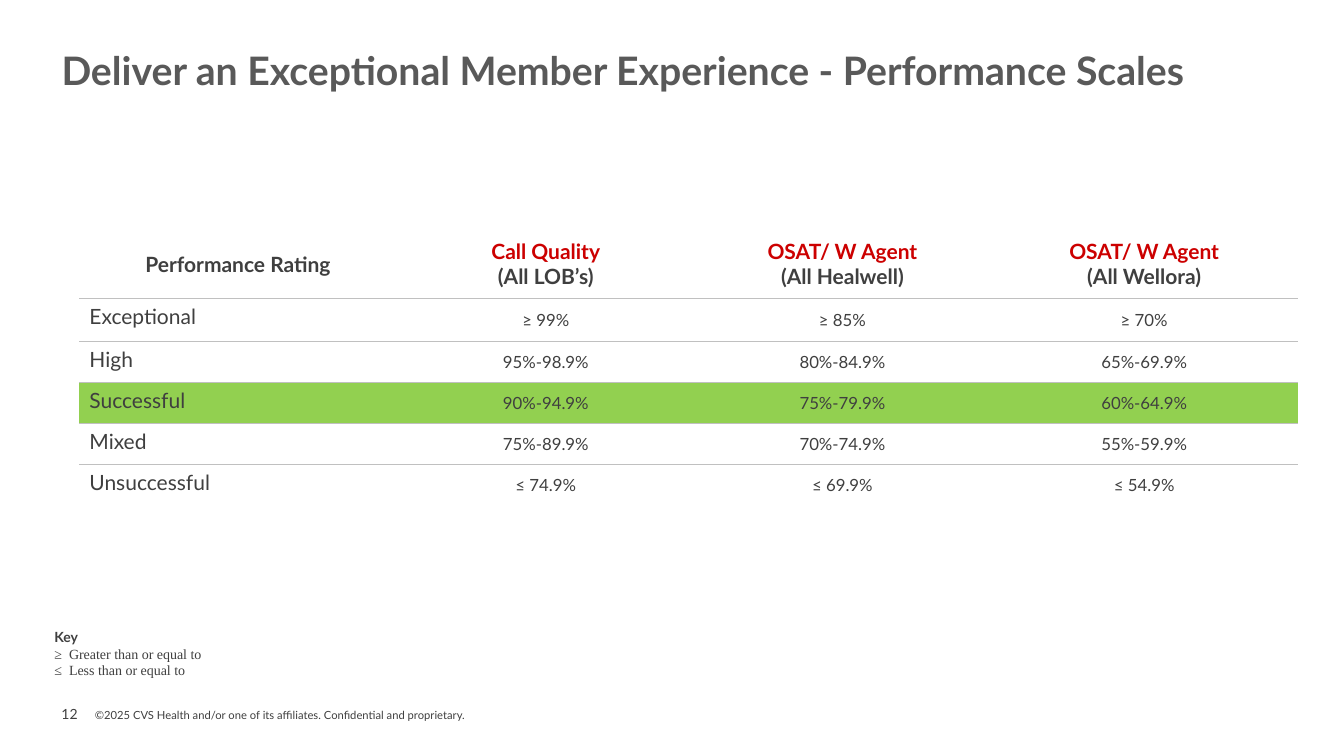
from lxml import etree
from pptx import Presentation, util as u
from pptx.dml.color import RGBColor
from pptx.enum import text as t
from pptx.oxml.ns import qn

HUES = {"ink": "3F3F3F", "title": "595959", "red": "CC0000",
        "rule": "C0C0C0", "green": "92D050"}
MID = t.MSO_ANCHOR.MIDDLE


def write(para, words, size=10, hue="ink", bold=False, face="Lato", align="LEFT"):
    para.alignment = t.PP_ALIGN[align]
    run = para.add_run()
    run.text = words
    font = run.font
    font.name, font.size, font.bold = face, u.Pt(size), bold
    font.color.rgb = RGBColor.from_string(HUES[hue])


def add_tab(para, stop):
    tabs = etree.SubElement(para._p.get_or_add_pPr(), qn("a:tabLst"))
    etree.SubElement(tabs, qn("a:tab"), pos=str(u.Cm(stop)), algn="l")


def edge(cell, sides):
    """Rule the named sides of a cell and clear the others."""
    props = cell._tc.get_or_add_tcPr()
    for spot, side in enumerate("LRTB"):
        line = etree.Element(qn("a:ln" + side), w=str(u.Pt(1)))
        if side in sides:
            fill = etree.SubElement(line, qn("a:solidFill"))
            etree.SubElement(fill, qn("a:srgbClr"), val=HUES["rule"])
        else:
            etree.SubElement(line, qn("a:noFill"))
        props.insert(spot, line)


class Page:
    def __init__(self, deck):
        self.slide = deck.slides.add_slide(deck.slide_layouts[5])

    def frame(self, shape, anchor, pad):
        box = shape.text_frame
        box.word_wrap, box.auto_size = True, t.MSO_AUTO_SIZE.NONE
        box.vertical_anchor = anchor
        box.margin_left = box.margin_right = u.Cm(pad[0])
        box.margin_top = box.margin_bottom = u.Cm(pad[1])
        return box

    def title(self, words, x, y, w, h):
        head = self.slide.shapes.title
        head.left, head.top, head.width, head.height = map(u.Cm, (x, y, w, h))
        para = self.frame(head, MID, (0, 0)).paragraphs[0]
        para.line_spacing = 0.9
        write(para, words, size=28, hue="title", bold=True)

    def text(self, x, y, w, h, anchor=MID, pad=(0, 0)):
        shape = self.slide.shapes.add_textbox(*map(u.Cm, (x, y, w, h)))
        return self.frame(shape, anchor, pad)

    def table(self, x, y, cols, rows, heads, body, mark):
        shape = self.slide.shapes.add_table(
            len(rows), len(cols), *map(u.Cm, (x, y, sum(cols), sum(rows))))
        grid = shape.table
        grid.first_row = grid.horz_banding = False
        for col, wide in zip(grid.columns, cols):
            col.width = u.Cm(wide)
        for row, high in zip(grid.rows, rows):
            row.height = u.Cm(high)
        for r, row in enumerate([heads] + body):
            sides = ("T" if r else "") + ("B" if r < len(body) else "")
            for c, words in enumerate(row):
                cell = grid.cell(r, c)
                if row[0] == mark:
                    cell.fill.solid()
                    cell.fill.fore_color.rgb = RGBColor.from_string(HUES["green"])
                else:
                    cell.fill.background()
                edge(cell, sides)
                self.fill_cell(cell, words, r == 0, c == 0)

    def fill_cell(self, cell, words, head, first):
        cell.vertical_anchor = MID if head or not first else t.MSO_ANCHOR.TOP
        lines = words.split("\n")
        for n, line in enumerate(lines):
            para = cell.text_frame.paragraphs[0] if n == 0 else cell.text_frame.add_paragraph()
            write(para, line, size=15 if head or first else 12, bold=head,
                  hue="red" if n < len(lines) - 1 else "ink",
                  align="CENTER" if head or not first else "LEFT")


def main():
    deck = Presentation()
    deck.slide_width, deck.slide_height = u.Cm(33.87), u.Cm(19.05)
    page = Page(deck)

    # Title
    page.title("Deliver an Exceptional Member Experience - Performance Scales",
               1.55, 0.84, 31.62, 1.98)

    # Footer
    write(page.text(1.55, 17.68, 0.99, 0.64).paragraphs[0], "12")
    foot = page.text(2.39, 17.86, 22.35, 0.33, anchor=t.MSO_ANCHOR.BOTTOM)
    write(foot.paragraphs[0], "©2025 CVS Health and/or one of its affiliates. "
          "Confidential and proprietary.", size=8)

    # Rating scales
    heads = ["Performance Rating", "Call Quality\n(All LOB’s)",
             "OSAT/ W Agent\n(All Healwell)", "OSAT/ W Agent\n(All Wellora)"]
    body = [["Exceptional", "≥ 99%", "≥ 85%", "≥ 70%"],
            ["High", "95%-98.9%", "80%-84.9%", "65%-69.9%"],
            ["Successful", "90%-94.9%", "75%-79.9%", "60%-64.9%"],
            ["Mixed", "75%-89.9%", "70%-74.9%", "55%-59.9%"],
            ["Unsuccessful", "≤ 74.9%", "≤ 69.9%", "≤ 54.9%"]]
    page.table(2, 5.79, [8, 7.51, 7.44, 7.77], [1.73, 1.09] + [1.03] * 4,
               heads, body, mark="Successful")

    # Key to the signs
    key = page.text(1.12, 15.7, 5.79, 1.55, anchor=t.MSO_ANCHOR.TOP, pad=(0.25, 0.13))
    write(key.paragraphs[0], "Key", bold=True)
    for line in ("≥\tGreater than or equal to", "≤\tLess than or equal to"):
        para = key.add_paragraph()
        add_tab(para, 0.37)
        write(para, line, face="Times New Roman")

    deck.save("out.pptx")


if __name__ == "__main__":
    main()
